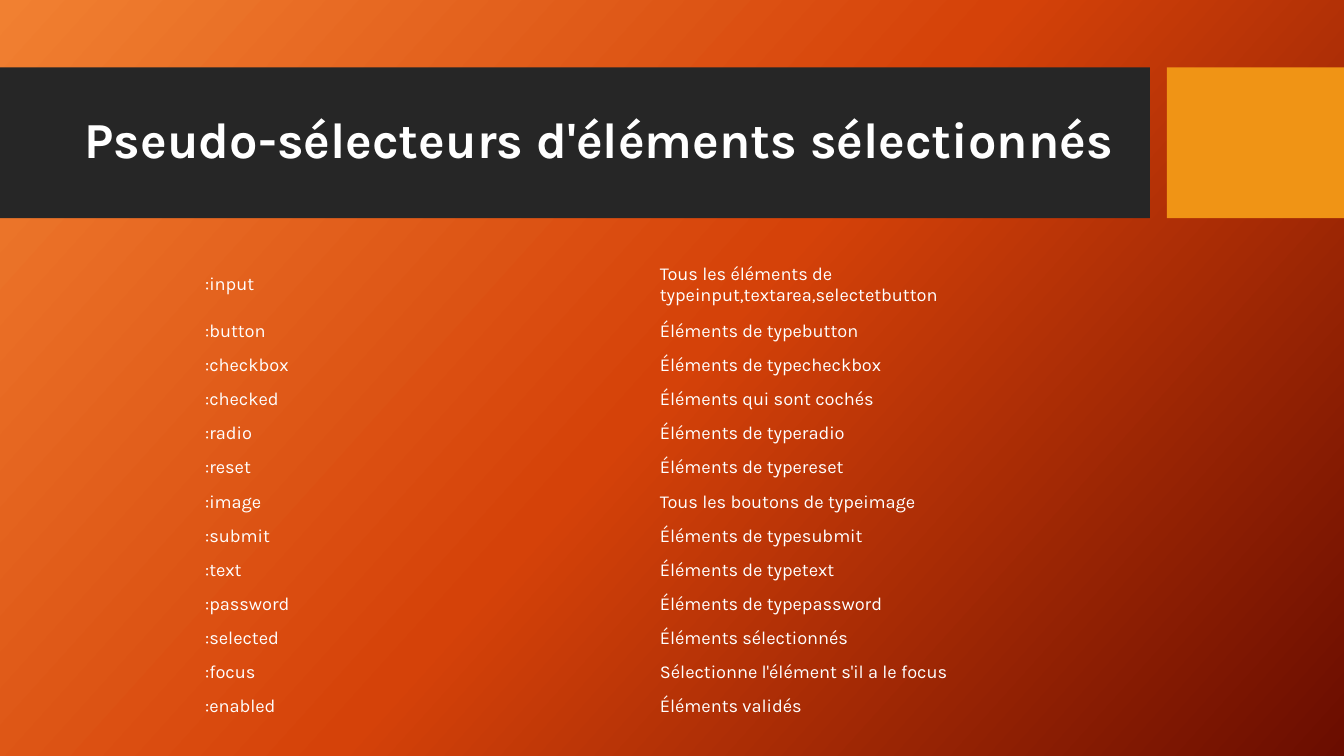
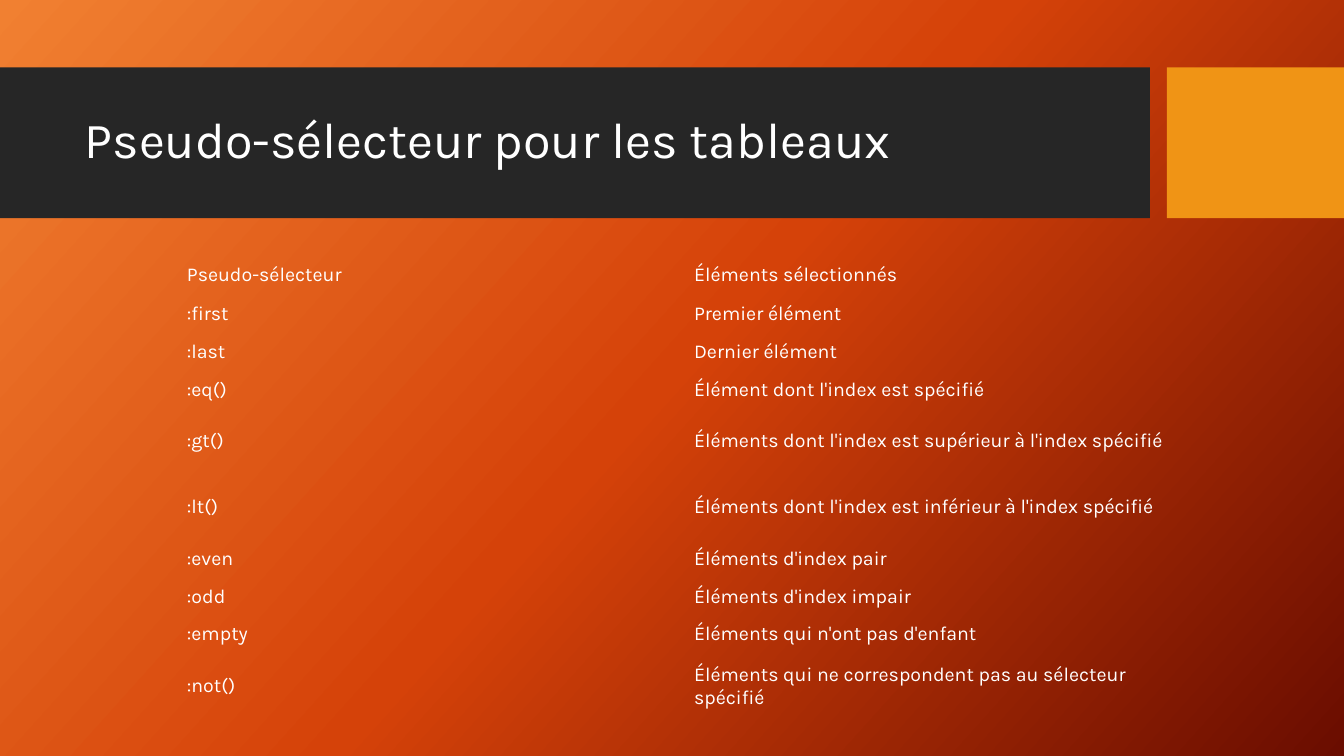
from copy import deepcopy
from pptx import Presentation
from pptx.dml.color import RGBColor
from pptx.enum.shapes import MSO_SHAPE
from pptx.enum.text import MSO_ANCHOR, MSO_AUTO_SIZE, PP_ALIGN
from pptx.util import Cm, Pt

FONT = "Karla"
WHITE = RGBColor(0xFF, 0xFF, 0xFF)
CHARCOAL = RGBColor(0x26, 0x26, 0x26)
AMBER = RGBColor(0xF0, 0x94, 0x15)
GRADIENT = [RGBColor(0xF1, 0x80, 0x31), RGBColor(0xD5, 0x42, 0x09), RGBColor(0x6A, 0x0D, 0x00)]
NO_STYLE_NO_GRID = "{2D5ABB26-0587-4C30-8999-92F81FD0307C}"


def write(frame, text, size, bold=False, spacing=1.0):
    frame.word_wrap = True
    paragraph = frame.paragraphs[0]
    paragraph.alignment = PP_ALIGN.LEFT
    paragraph.line_spacing = spacing
    run = paragraph.add_run()
    run.text = text
    run.font.name = FONT
    run.font.size = Pt(size)
    run.font.bold = bold
    run.font.color.rgb = WHITE


prs = Presentation()
prs.slide_width, prs.slide_height = Cm(33.87), Cm(19.05)
layout = prs.slide_layouts[5]

# Shared background: diagonal gradient with three even stops
background = layout.background.fill
background.gradient()
background.gradient_angle = 360 - 42
stop_list = layout.element.xpath(".//p:bg//a:gsLst")[0]
stop_list.insert(1, deepcopy(stop_list[0]))
for i, (stop, color) in enumerate(zip(background.gradient_stops, GRADIENT)):
    stop.position = i / 2
    stop.color.rgb = color

# Shared title place
layout_title = layout.placeholders[0]
layout_title.left, layout_title.top = Cm(1.88), Cm(2.08)
layout_title.width, layout_title.height = Cm(26.7), Cm(3)

# Content: title, bold title, table left, column width, text size, cell insets, rows
# Each row: selector, meaning, height in cm
form_rows = [
    (":input", "Tous les éléments de typeinput,textarea,selectetbutton", 1.5),
    (":button", "Éléments de typebutton", 0.86),
    (":checkbox", "Éléments de typecheckbox", 0.86),
    (":checked", "Éléments qui sont cochés", 0.86),
    (":radio", "Éléments de typeradio", 0.86),
    (":reset", "Éléments de typereset", 0.86),
    (":image", "Tous les boutons de typeimage", 0.86),
    (":submit", "Éléments de typesubmit", 0.86),
    (":text", "Éléments de typetext", 0.86),
    (":password", "Éléments de typepassword", 0.86),
    (":selected", "Éléments sélectionnés", 0.86),
    (":focus", "Sélectionne l'élément s'il a le focus", 0.86),
    (":enabled", "Éléments validés", 0.86),
]
index_rows = [
    ("Pseudo-sélecteur", "Éléments sélectionnés", 1.02),
    (":first", "Premier élément", 0.95),
    (":last", "Dernier élément", 0.95),
    (":eq()", "Élément dont l'index est spécifié", 0.95),
    (":gt()", "Éléments dont l'index est supérieur à l'index spécifié", 1.66),
    (":lt()", "Éléments dont l'index est inférieur à l'index spécifié", 1.66),
    (":even", "Éléments d'index pair", 0.95),
    (":odd", "Éléments d'index impair", 0.95),
    (":empty", "Éléments qui n'ont pas d'enfant", 0.95),
    (":not()", "Éléments qui ne correspondent pas au sélecteur spécifié", 1.66),
]
pages = [
    ("Pseudo-sélecteurs d'éléments sélectionnés", True, 5, 11.46, 13, (0.17, 0.09), form_rows),
    ("Pseudo-sélecteur pour les tableaux", False, 4.52, 12.78, 14, (0.19, 0.1), index_rows),
]
slides = [prs.slides.add_slide(layout) for page in pages]

# Shared bands: drawn once, then moved behind the title of the layout
for left, width, color in [(0, 28.98, CHARCOAL), (29.41, 4.46, AMBER)]:
    band = slides[0].shapes.add_shape(MSO_SHAPE.RECTANGLE, Cm(left), Cm(1.7), Cm(width), Cm(3.8))
    band.shadow.inherit = False
    band.fill.solid()
    band.fill.fore_color.rgb = color
    band.line.fill.background()
    layout.shapes.element.insert(2, band.element)

for slide, (heading, bold, left, column_width, size, insets, rows) in zip(slides, pages):
    # Title
    title = slide.shapes.title.text_frame
    title.vertical_anchor = MSO_ANCHOR.MIDDLE
    title.auto_size = MSO_AUTO_SIZE.NONE
    write(title, heading, size=36, bold=bold, spacing=0.9)

    # Selector table
    total_height = sum(height for *_, height in rows)
    holder = slide.shapes.add_table(
        len(rows), 2, Cm(left), Cm(6.42), Cm(2 * column_width), Cm(total_height))
    holder.element.xpath(".//a:tableStyleId")[0].text = NO_STYLE_NO_GRID
    selectors = holder.table
    selectors.first_row = selectors.horz_banding = False
    for row, (selector, meaning, height) in zip(selectors.rows, rows):
        row.height = Cm(height)
        for cell, text in zip(row.cells, (selector, meaning)):
            cell.fill.background()
            cell.vertical_anchor = MSO_ANCHOR.MIDDLE
            cell.margin_left = cell.margin_right = Cm(insets[0])
            cell.margin_top = cell.margin_bottom = Cm(insets[1])
            write(cell.text_frame, text, size=size)

prs.save("out.pptx")
